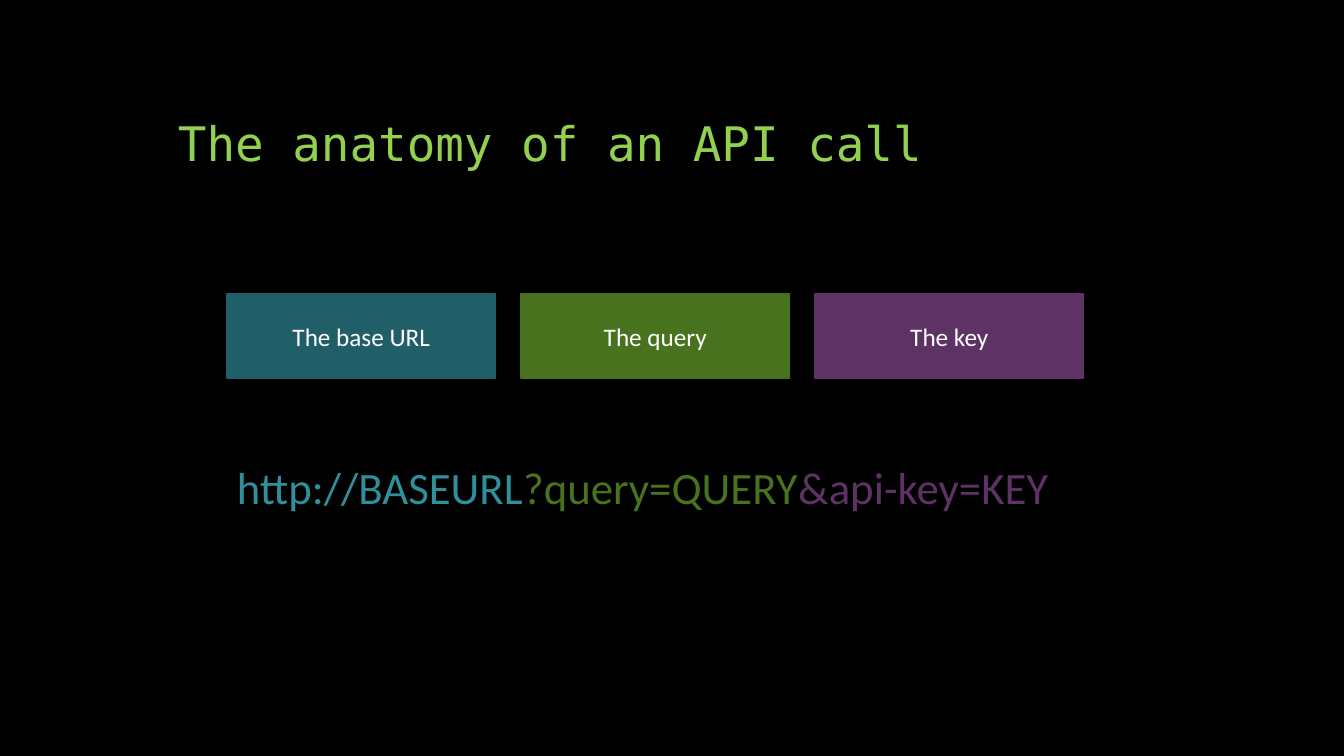
from pptx import Presentation
from pptx.dml.color import RGBColor as RGB
from pptx.enum.shapes import MSO_SHAPE as SHAPE
from pptx.enum.text import MSO_ANCHOR as ANCHOR, MSO_AUTO_SIZE as AUTO, PP_ALIGN as ALIGN
from pptx.util import Cm, Pt

TEAL, GREEN, PURPLE = "205F68", "49721E", "5E3265"
LEFT = 5.72
PARTS = [("The base URL", TEAL), ("The query", GREEN), ("The key", PURPLE)]
URL = [("http://BASEURL", "2F8F9B"), ("?query=QUERY", GREEN), ("&api-key=KEY", PURPLE)]


def paint(fmt, color):
    """Give a fill a solid colour from a hex string."""
    fmt.solid()
    fmt.fore_color.rgb = RGB.from_string(color)


def add_text(p, text, size=18, color="FFFFFF", font="Calibri", align=ALIGN.LEFT):
    """Add a formatted run to a paragraph."""
    p.alignment = align
    r = p.add_run()
    r.text = text
    r.font.size = Pt(size)
    r.font.name = font
    r.font.color.rgb = RGB.from_string(color)


def add_title(slide, text):
    """Place and format the title placeholder."""
    sp = slide.shapes.title
    sp.left, sp.top, sp.width, sp.height = Cm(4.23), Cm(1.27), Cm(25.4), Cm(3.18)
    tf = sp.text_frame
    tf.vertical_anchor = ANCHOR.BOTTOM
    tf.auto_size = AUTO.NONE
    p = tf.paragraphs[0]
    p.line_spacing = 0.9
    add_text(p, text, size=34, color="92D050", font="DejaVu Sans Mono")


def add_part(slide, left, text, color):
    """Add a filled box that names one part of the call."""
    sp = slide.shapes.add_shape(SHAPE.RECTANGLE, Cm(left), Cm(7.41), Cm(6.77), Cm(2.12))
    sp.shadow.inherit = False
    paint(sp.fill, color)
    paint(sp.line.fill, color)
    sp.line.width = Pt(1)
    tf = sp.text_frame
    tf.vertical_anchor = ANCHOR.MIDDLE
    add_text(tf.paragraphs[0], text, align=ALIGN.CENTER)


def add_url(slide, pieces):
    """Add the address line with one colour for each part."""
    tf = slide.shapes.add_textbox(Cm(LEFT), Cm(11.47), Cm(24.34), Cm(1.62)).text_frame
    tf.word_wrap = True
    for text, color in pieces:
        add_text(tf.paragraphs[0], text, size=32, color=color)


def main():
    """Build the slide and save it."""
    prs = Presentation()
    prs.slide_width, prs.slide_height = Cm(33.87), Cm(19.05)
    slide = prs.slides.add_slide(prs.slide_layouts[5])
    paint(slide.background.fill, "000000")
    add_title(slide, "The anatomy of an API call")
    for i, (text, color) in enumerate(PARTS):
        add_part(slide, LEFT + i * 7.41, text, color)
    add_url(slide, URL)
    prs.save("out.pptx")


if __name__ == "__main__":
    main()
